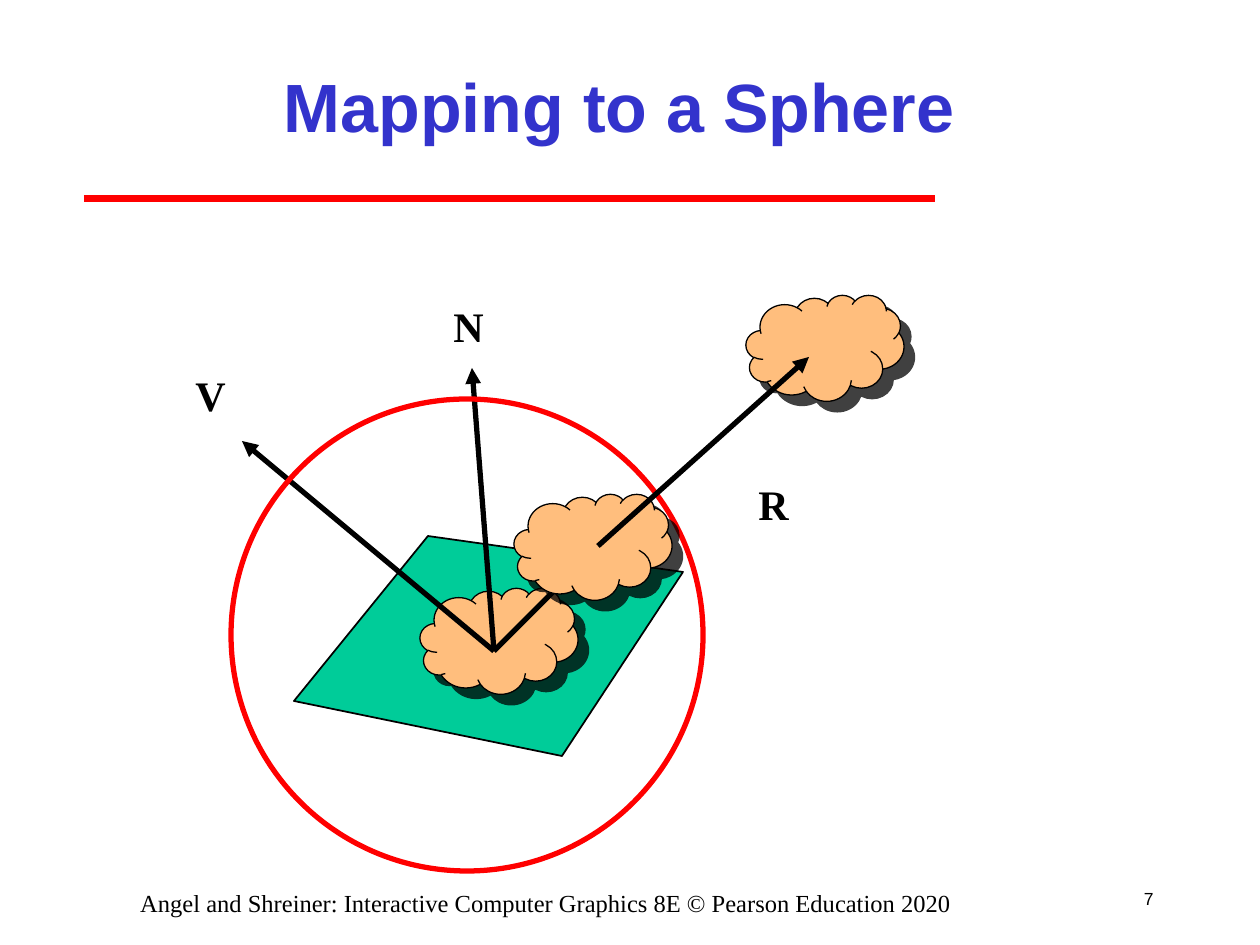
import pptx
import pptx.dml.color
import pptx.enum.shapes
import pptx.enum.text
import pptx.oxml.ns
import pptx.util
from lxml import etree

EMU_PER_PX = 914400 / 126
SLIDE_SIZE = (1260, 945)
COLORS = {"title": "3333CC", "red": "FF0000", "black": "000000",
          "plane": "00CC99", "cloud": "FFBE7D"}
SANS, SERIF = "Arial", "Times New Roman"
ALIGN = pptx.enum.text.PP_ALIGN
ANCHOR = pptx.enum.text.MSO_ANCHOR
SHAPE = pptx.enum.shapes.MSO_SHAPE

TITLE = "Mapping to a Sphere"
TITLE_BOX = (189, 32, 861, 147)
FOOTER = "Angel and Shreiner: Interactive Computer Graphics 8E © Pearson Education 2020"
FOOTER_BOX = (63, 882, 966, 32)
PAGE = "7"
PAGE_BOX = (1113, 872, 53, 53)

RULE = ((84, 199), (935, 199))
PLANE = [(294, 701), (428, 536), (683, 572), (562, 756)]
SPHERE_BOX = (231, 399, 472, 472)
CLOUD_SIZE = (158, 106)
SURFACE_CLOUD, SPHERE_CLOUD, FAR_CLOUD = (420, 588), (514, 494), (746, 295)
HIT_POINT = (494, 651)
VECTOR_TIPS = [(242, 441), (472, 368), (588, 557)]
REFLECTION = ((598, 546), (809, 357))
LABEL_SIZE = (55, 63)
LABELS = [("V", (183, 363)), ("N", (441, 294)), ("R", (746, 472))]


def emu(*lengths):
    return [pptx.util.Emu(round(length * EMU_PER_PX)) for length in lengths]


def rgb(name):
    return pptx.dml.color.RGBColor.from_string(COLORS[name])


def outline(shape, color, points):
    shape.line.color.rgb = rgb(color)
    shape.line.width = pptx.util.Pt(points)


def paint(shape, fill, color, points):
    """Set fill and outline, without the theme shadow; fill None leaves it open."""
    shape.shadow.inherit = False
    if fill:
        shape.fill.solid()
        shape.fill.fore_color.rgb = rgb(fill)
    else:
        shape.fill.background()
    outline(shape, color, points)


def write(frame, text, size, font, color="black", bold=False,
          align=ALIGN.LEFT, anchor=ANCHOR.TOP, wrap=False):
    frame.word_wrap = wrap
    frame.vertical_anchor = anchor
    paragraph = frame.paragraphs[0]
    paragraph.alignment = align
    run = paragraph.add_run()
    run.text = text
    run.font.size = pptx.util.Pt(size)
    run.font.name = font
    run.font.bold = bold
    run.font.color.rgb = rgb(color)


def add_text(shapes, box, text, size, font, **style):
    write(shapes.add_textbox(*emu(*box)).text_frame, text, size, font, **style)


def add_line(shapes, start, end, color, points, arrow=False):
    line = shapes.add_connector(pptx.enum.shapes.MSO_CONNECTOR.STRAIGHT,
                                *emu(*start, *end))
    outline(line, color, points)
    if arrow:
        etree.SubElement(line.line._get_or_add_ln(),
                         pptx.oxml.ns.qn("a:tailEnd"), type="triangle")
    etree.SubElement(line._element.spPr, pptx.oxml.ns.qn("a:effectLst"))


def add_cloud(shapes, corner):
    cloud = shapes.add_shape(SHAPE.CLOUD, *emu(*corner, *CLOUD_SIZE))
    paint(cloud, "cloud", "black", 0.75)
    effects = cloud._element.spPr.find(pptx.oxml.ns.qn("a:effectLst"))
    shadow = etree.SubElement(effects, pptx.oxml.ns.qn("a:outerShdw"),
                              dist=str(pptx.util.Pt(8.5)), dir=str(45 * 60000),
                              algn="ctr", rotWithShape="0")
    tint = etree.SubElement(shadow, pptx.oxml.ns.qn("a:srgbClr"), val=COLORS["black"])
    etree.SubElement(tint, pptx.oxml.ns.qn("a:alpha"), val="75000")


def main():
    deck = pptx.Presentation()
    deck.slide_width, deck.slide_height = emu(*SLIDE_SIZE)
    slide = deck.slides.add_slide(deck.slide_layouts[5])
    shapes = slide.shapes

    title = shapes.title
    title.left, title.top, title.width, title.height = emu(*TITLE_BOX)
    write(title.text_frame, TITLE, 39, SANS, "title", bold=True,
          align=ALIGN.CENTER, anchor=ANCHOR.MIDDLE, wrap=True)
    add_line(shapes, *RULE, "red", 4)
    add_text(shapes, PAGE_BOX, PAGE, 10, SANS, align=ALIGN.RIGHT, anchor=ANCHOR.MIDDLE)

    builder = shapes.build_freeform(*PLANE[0], scale=EMU_PER_PX)
    builder.add_line_segments(PLANE[1:], close=True)
    paint(builder.convert_to_shape(), "plane", "black", 1)

    add_cloud(shapes, SURFACE_CLOUD)
    for tip in VECTOR_TIPS:
        add_line(shapes, HIT_POINT, tip, "black", 3, arrow=True)
    for letter, corner in LABELS:
        add_text(shapes, corner + LABEL_SIZE, letter, 24, SERIF, bold=True)

    add_cloud(shapes, FAR_CLOUD)
    paint(shapes.add_shape(SHAPE.OVAL, *emu(*SPHERE_BOX)), None, "red", 3)
    add_cloud(shapes, SPHERE_CLOUD)
    add_line(shapes, *REFLECTION, "black", 3, arrow=True)

    add_text(shapes, FOOTER_BOX, FOOTER, 14, SERIF, align=ALIGN.CENTER, wrap=True)
    deck.save("out.pptx")


if __name__ == "__main__":
    main()
